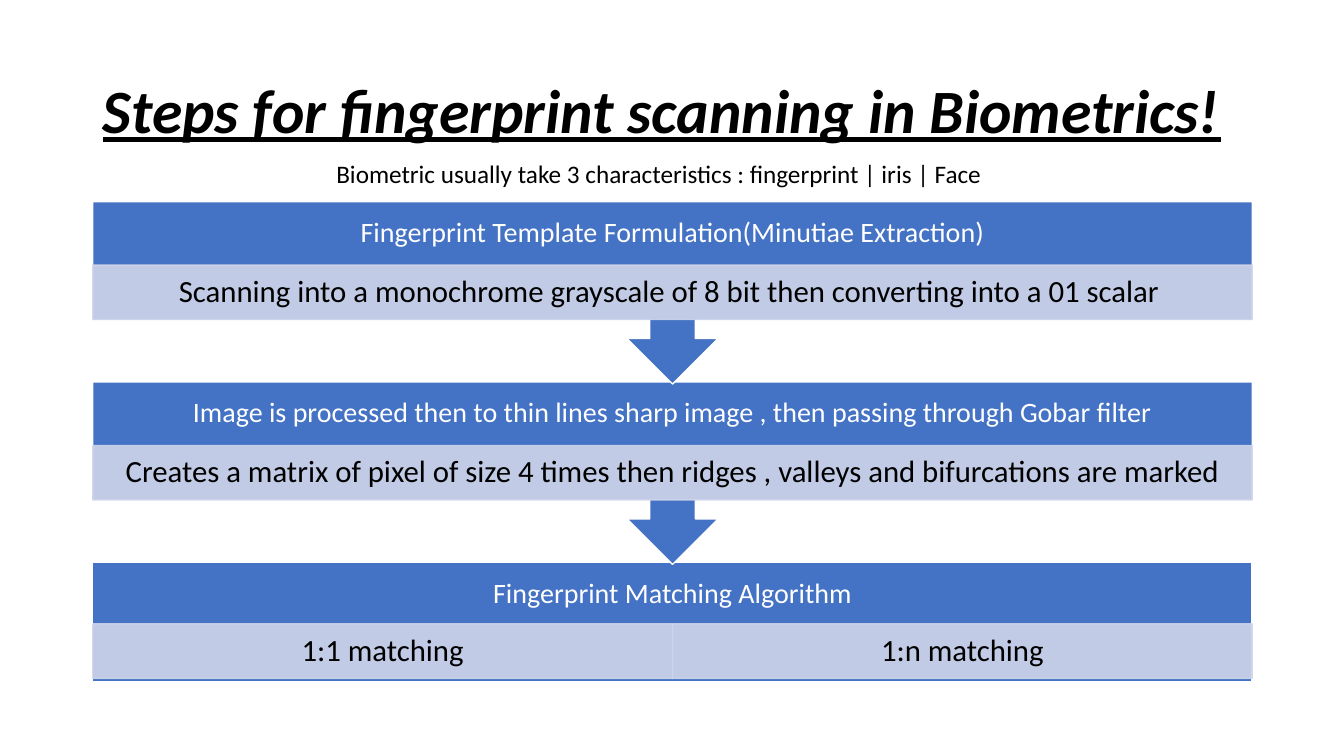
from lxml import etree
from pptx import Presentation
from pptx.dml.color import RGBColor
from pptx.enum.shapes import MSO_SHAPE as SHAPE
from pptx.enum.text import MSO_ANCHOR as ANCHOR, PP_ALIGN as ALIGN
from pptx.oxml.ns import qn
from pptx.util import Inches, Pt

BLUE, PALE, WHITE, BLACK = "4472C4", "CFD5EA", "FFFFFF", "000000"
LEFT, WIDTH = 0.92, 11.5
STEP_TOP, STEP_PITCH = 2.0, 1.79
HEADER_H, DETAIL_H = 0.63, 0.54

# Steps from top to bottom: header, detail cells
STEPS = [
    ("Fingerprint Template Formulation(Minutiae Extraction)",
     ["Scanning into a monochrome grayscale of 8 bit then converting into a 01 scalar "]),
    ("Image is processed then to thin lines sharp image , then passing through Gobar filter",
     ["Creates a matrix of pixel of size 4 times then ridges , valleys and bifurcations are marked"]),
    ("Fingerprint Matching Algorithm", ["1:1 matching", "1:n matching"]),
]


def rgb(value):
    return RGBColor.from_string(value)


def write(sp, text, size, color, align=ALIGN.CENTER, spacing=0.9, inset=None, wrap=True, **fmt):
    tf = sp.text_frame
    tf.word_wrap = wrap
    tf.vertical_anchor = ANCHOR.MIDDLE
    if inset:
        dx, dy = (Inches(v) for v in inset)
        margins = dict(margin_left=dx, margin_right=dx, margin_top=dy, margin_bottom=dy)
        for name, value in margins.items():
            setattr(tf, name, value)
    p = tf.paragraphs[0]
    p.alignment, p.line_spacing = align, spacing
    r = p.add_run()
    r.text = text
    r.font.color.rgb = rgb(color)
    for name, value in dict(fmt, name="Calibri", size=Pt(size)).items():
        setattr(r.font, name, value)


def add_block(s, kind, box, fill, line, opacity=100):
    sp = s.shapes.add_shape(kind, *map(Inches, box))
    sp.shadow.inherit = False
    sp.fill.solid()
    sp.fill.fore_color.rgb = rgb(fill)
    sp.line.color.rgb = rgb(line)
    sp.line.width = Pt(1)
    if opacity < 100:
        for clr in sp._element.spPr.iter(qn("a:srgbClr")):
            etree.SubElement(clr, qn("a:alpha"), val=str(opacity * 1000))
    return sp


def add_title(s, box):
    title = s.shapes.title
    title.left, title.top, title.width, title.height = map(Inches, box)
    write(title, "Steps for fingerprint scanning in Biometrics!", 44, BLACK,
          align=ALIGN.LEFT, bold=True, italic=True, underline=True)


def add_subtitle(s, box):
    tb = s.shapes.add_textbox(*map(Inches, box))
    write(tb, "Biometric usually take 3 characteristics : fingerprint | iris | Face",
          18, BLACK, spacing=1.0, wrap=False)


def add_step(s, box, header, details, detail_top, has_arrow):
    x, y, w, h = box
    # Body, with an arrow to the next step
    kind = SHAPE.UP_ARROW_CALLOUT if has_arrow else SHAPE.RECTANGLE
    body = add_block(s, kind, box, BLUE, WHITE)
    if has_arrow:
        body.rotation = 180  # header sits in its own box to stay upright
    tb = s.shapes.add_textbox(*map(Inches, (x, y, w, HEADER_H)))
    write(tb, header, 20, WHITE, inset=(0.16, 0.16))
    # Detail cells of equal width
    cell_w = w / len(details)
    for i, text in enumerate(details):
        cell = (x + i * cell_w, y + detail_top, cell_w, DETAIL_H)
        sp = add_block(s, SHAPE.RECTANGLE, cell, PALE, PALE, opacity=90)
        write(sp, text, 22, BLACK, inset=(0.17, 0.03))


def add_process(s, x, y, w):
    last = len(STEPS) - 1
    # Bottom step first, so each arrow lies over the step below
    for i in range(last, -1, -1):
        has_arrow = i < last
        height, detail_top = (1.81, 0.63) if has_arrow else (1.18, 0.61)
        add_step(s, (x, y + i * STEP_PITCH, w, height), *STEPS[i], detail_top, has_arrow)


def main():
    prs = Presentation()
    prs.slide_width, prs.slide_height = Inches(13.33), Inches(7.5)
    s = prs.slides.add_slide(prs.slide_layouts[5])
    add_title(s, (LEFT, 0.4, WIDTH, 1.45))
    add_process(s, LEFT, STEP_TOP, WIDTH)
    add_subtitle(s, (3.2, 1.52, 6.67, 0.4))
    prs.save("out.pptx")


if __name__ == "__main__":
    main()
